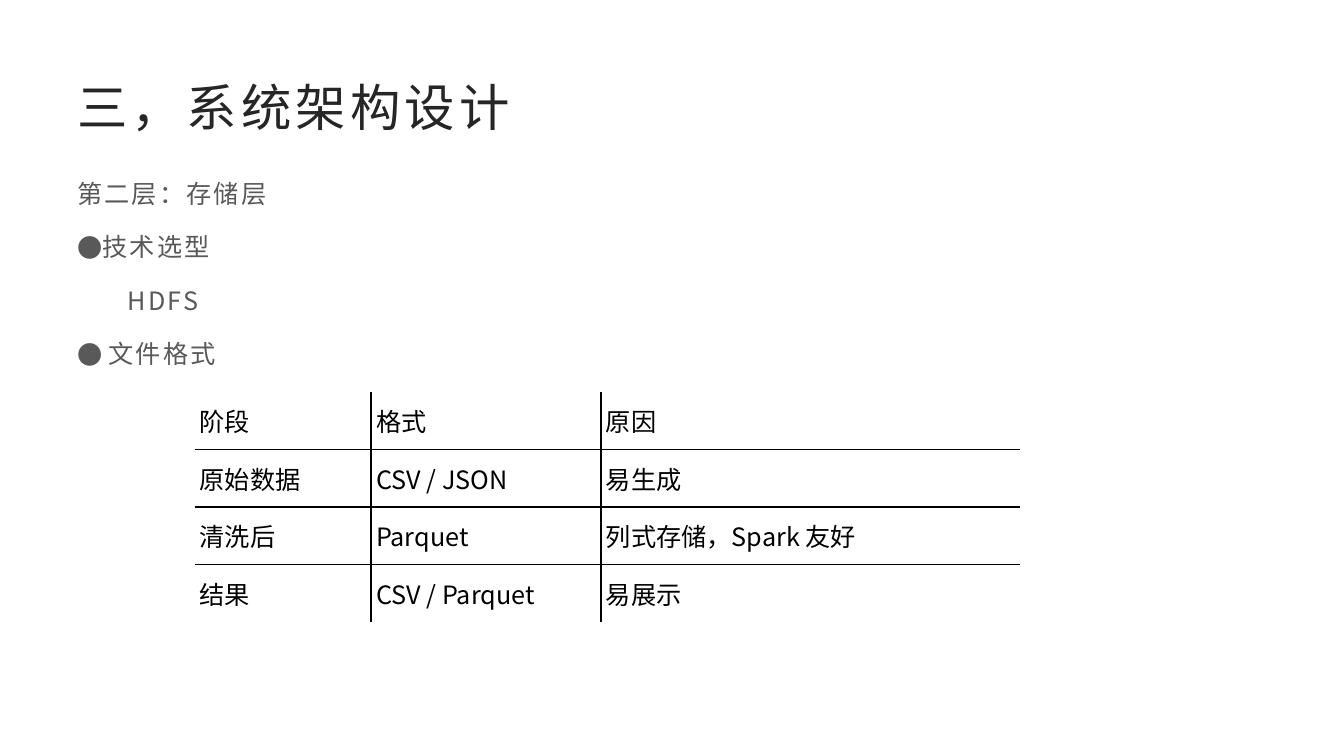
from dataclasses import dataclass

from lxml import etree
from pptx import Presentation
from pptx import util as u
from pptx.dml import color
from pptx.enum import text
from pptx.oxml import ns


@dataclass(frozen=True)
class Theme:
    font: str = "Noto Sans CJK JP"
    heading: str = "262626"
    body: str = "595959"
    ink: str = "000000"
    heading_size: int = 36
    body_size: int = 18
    rule: float = 1


def write(paragraph, words, theme, size, ink, spacing=0):
    run = paragraph.add_run()
    run.text = words
    run.font.size = u.Pt(size)
    run.font.bold = False
    run.font.name = theme.font
    run.font.color.rgb = color.RGBColor.from_string(ink)
    properties = run.font._element
    properties.set("spc", str(round(spacing * 100)))
    etree.SubElement(properties, ns.qn("a:ea"), typeface=theme.font)


class Page:
    def __init__(self, deck, theme):
        self.slide = deck.slides.add_slide(deck.slide_layouts[6])
        self.theme = theme

    def frame(self, left, top, width, height, anchor):
        box = self.slide.shapes.add_textbox(*map(u.Inches, (left, top, width, height)))
        box.text_frame.word_wrap = True
        box.text_frame.vertical_anchor = anchor
        return box.text_frame

    def title(self, words, *place):
        heading = self.frame(*place, text.MSO_ANCHOR.MIDDLE)
        write(heading.paragraphs[0], words, self.theme,
              self.theme.heading_size, self.theme.heading, spacing=3)

    def outline(self, points, *place):
        body = self.frame(*place, text.MSO_ANCHOR.TOP)
        for number, (words, margin, indent, bullet) in enumerate(points):
            point = body.add_paragraph() if number else body.paragraphs[0]
            point.line_spacing = 1.3
            point.space_after = u.Pt(10)
            layout = point._p.get_or_add_pPr()
            layout.set("marL", str(u.Inches(margin)))
            layout.set("indent", str(u.Inches(indent)))
            if bullet:
                etree.SubElement(layout, ns.qn("a:buFont"), typeface=self.theme.font)
                etree.SubElement(layout, ns.qn("a:buChar"), char=bullet)
            write(point, words, self.theme, self.theme.body_size, self.theme.body, spacing=1.5)

    def borders(self, cell, sides):
        properties = cell._tc.get_or_add_tcPr()
        for side, visible in sides.items():
            line = etree.SubElement(properties, ns.qn(f"a:ln{side}"), w=str(u.Pt(self.theme.rule)))
            if visible:
                fill = etree.SubElement(line, ns.qn("a:solidFill"))
                etree.SubElement(fill, ns.qn("a:srgbClr"), val=self.theme.ink)
            else:
                etree.SubElement(line, ns.qn("a:noFill"))

    def table(self, rows, widths, row_height, left, top):
        size = (sum(widths), row_height * len(rows))
        grid = self.slide.shapes.add_table(
            len(rows), len(widths), *map(u.Inches, (left, top, *size))).table
        grid.first_row = grid.horz_banding = False
        for column, width in zip(grid.columns, widths):
            column.width = u.Inches(width)
        for r, row in enumerate(rows):
            for c, words in enumerate(row):
                cell = grid.cell(r, c)
                cell.margin_left = u.Inches(0.05)
                cell.margin_right = cell.margin_top = cell.margin_bottom = 0
                cell.vertical_anchor = text.MSO_ANCHOR.MIDDLE
                self.borders(cell, {"L": c > 0, "R": c < len(widths) - 1,
                                    "T": r > 0, "B": r < len(rows) - 1})
                cell.fill.background()
                write(cell.text_frame.paragraphs[0], words, self.theme,
                      self.theme.body_size, self.theme.ink)


def main():
    deck = Presentation()
    deck.slide_width, deck.slide_height = u.Inches(13.33), u.Inches(7.5)
    page = Page(deck, Theme())
    page.title("三，系统架构设计", 0.67, 0.67, 12, 0.77)
    storage_layer = [
        ("第二层：存储层", 0, 0, None),
        ("技术选型", 0.25, -0.25, "●"),
        ("HDFS", 0, 0.5, None),
        ("文件格式", 0.31, -0.31, "●"),
    ]
    page.outline(storage_layer, 0.67, 1.63, 12, 5.2)
    file_formats = [
        ("阶段", "格式", "原因"),
        ("原始数据", "CSV / JSON", "易生成"),
        ("清洗后", "Parquet", "列式存储，Spark 友好"),
        ("结果", "CSV / Parquet", "易展示"),
    ]
    page.table(file_formats, (1.75, 2.28, 4.16), 0.57, 1.93, 3.89)
    deck.save("out.pptx")


if __name__ == "__main__":
    main()
